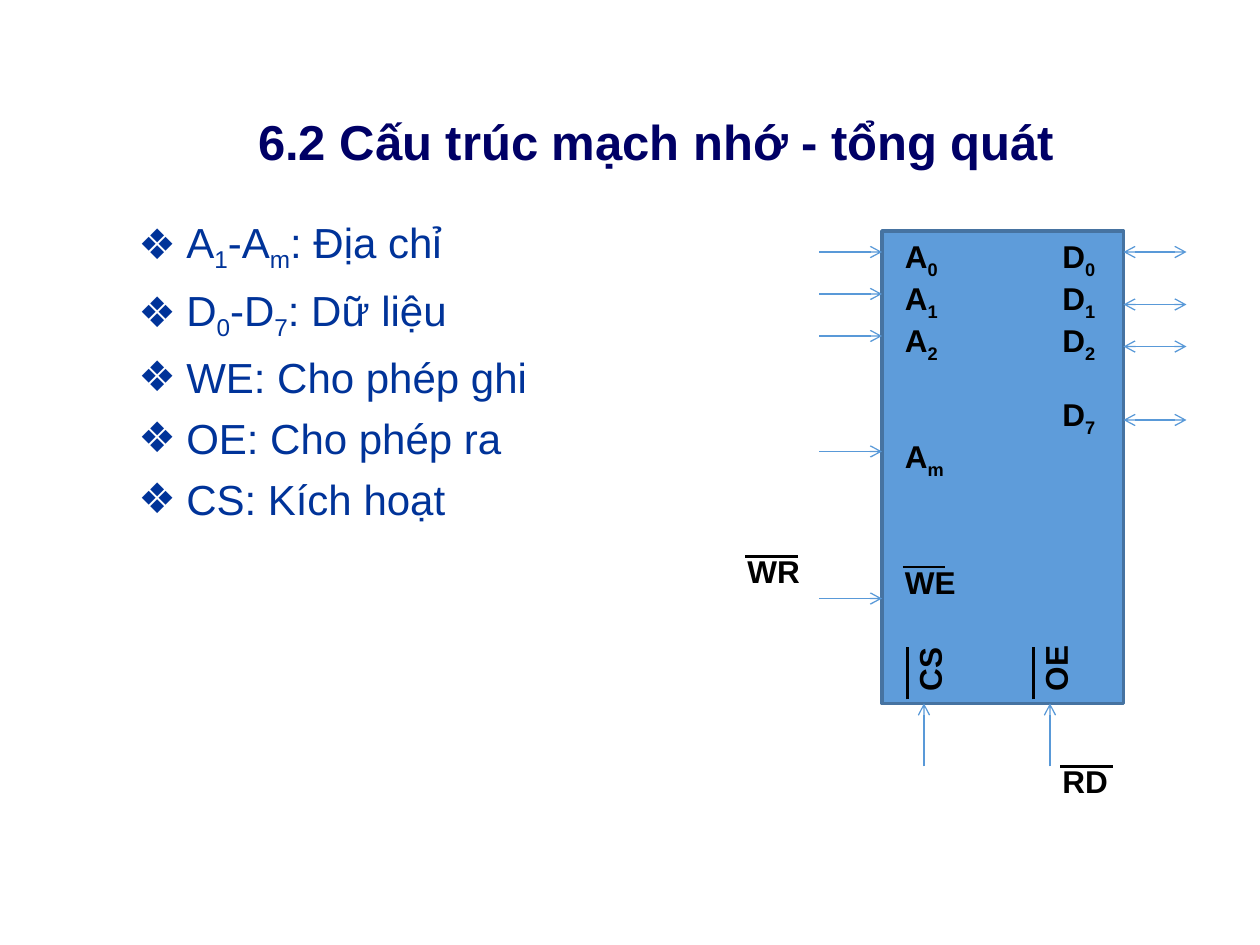
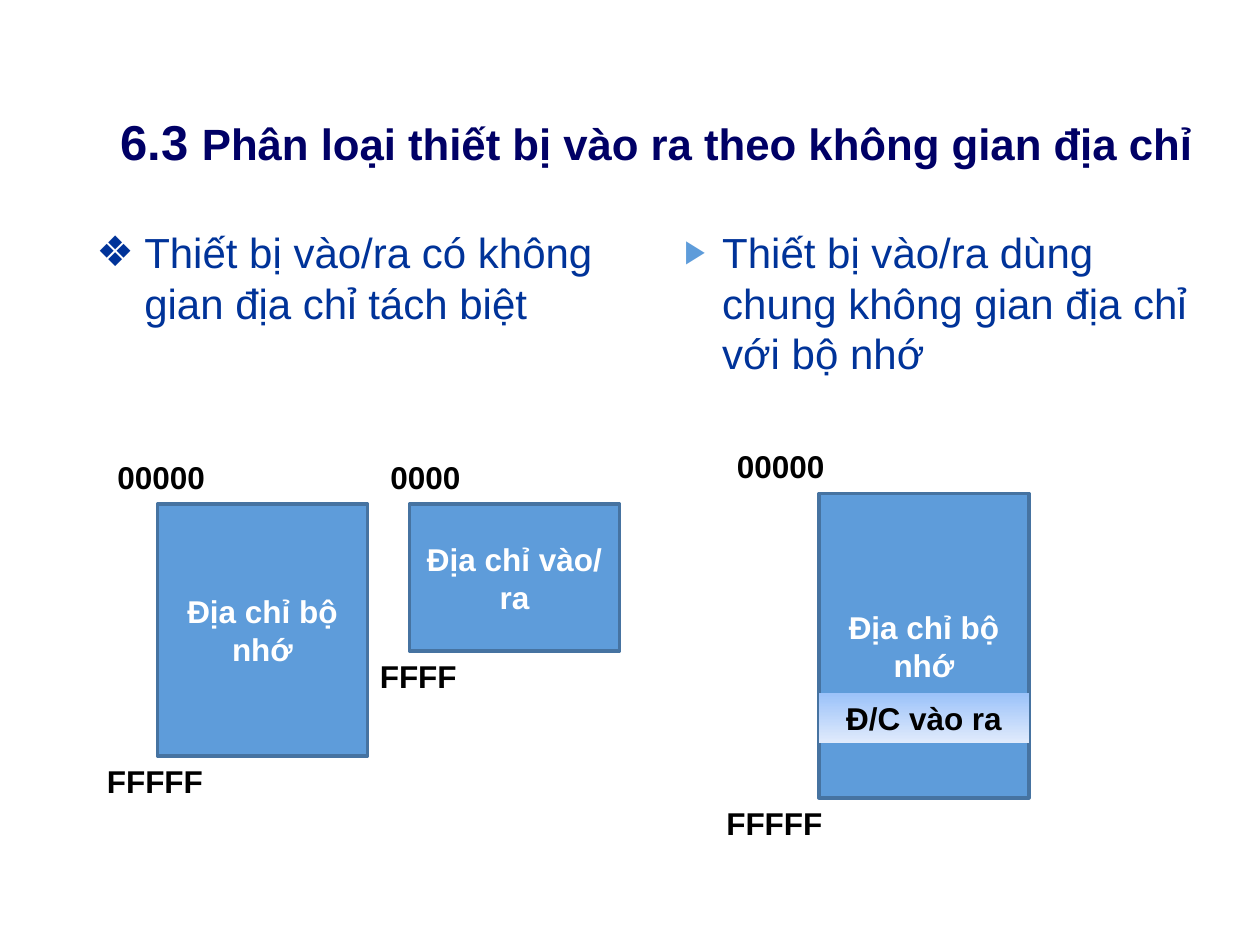
from pptx import Presentation
from pptx.dml.color import RGBColor
from pptx.enum.shapes import MSO_CONNECTOR, MSO_SHAPE
from pptx.enum.text import MSO_ANCHOR, PP_ALIGN
from pptx.oxml.ns import qn
from pptx.util import Inches, Pt
from lxml import etree

NAVY = RGBColor(0x00, 0x00, 0x66)
BLUE = RGBColor(0x00, 0x33, 0x99)
SKY = RGBColor(0x5E, 0x9C, 0xDA)
EDGE = RGBColor(0x46, 0x73, 0xA1)
WIRE = RGBColor(0x59, 0x99, 0xD8)
PALE = RGBColor(0x9B, 0xC2, 0xF9)
MIST = RGBColor(0xE1, 0xEB, 0xFC)
BLACK = RGBColor(0x00, 0x00, 0x00)
WHITE = RGBColor(0xFF, 0xFF, 0xFF)

RECT = MSO_SHAPE.RECTANGLE
LINE = MSO_CONNECTOR.STRAIGHT
LEFT = PP_ALIGN.LEFT
MID = PP_ALIGN.CENTER
CENTRE = MSO_ANCHOR.MIDDLE

WIDE, HIGH = Inches(10), Inches(7.5)
COLS, ROWS = 120, 90
TALL = 4.8


def col(n):
    return round(n * WIDE / COLS)


def row(n):
    return round(n * HIGH / ROWS)


class Deck:
    face = "Arial"

    def __init__(self):
        self.prs = Presentation()
        self.prs.slide_width, self.prs.slide_height = WIDE, HIGH
        self.slide = None

    def page(self, *parts):
        self.slide = self.prs.slides.add_slide(self.prs.slide_layouts[6])
        para = self.text(5, 10, 115, 7, "", 28, NAVY, True, MID)
        for words, size in parts:
            run = para.add_run()
            run.text = words
            run.font.size = Pt(size)

    def style(self, para, size, color, bold, align):
        para.alignment = align
        font = para.font
        font.name, font.size, font.bold = self.face, Pt(size), bold
        font.color.rgb = color

    def runs(self, para, words):
        first, *rest = words.split("_")
        if first:
            para.add_run().text = first
        for part in rest:
            low = para.add_run()
            low.text = part[0]
            low._r.get_or_add_rPr().set("baseline", "-25000")
            if part[1:]:
                para.add_run().text = part[1:]

    def text(self, x, y, w, h, words, size=18, color=BLACK, bold=True, align=LEFT, turn=0):
        box = self.slide.shapes.add_textbox(col(x), row(y), col(w), row(h))
        box.rotation = turn
        box.text_frame.word_wrap = True
        para = box.text_frame.paragraphs[0]
        self.runs(para, words)
        self.style(para, size, color, bold, align)
        return para

    def bullets(self, x, y, w, h, items, mark="❖", tint=BLUE, share=100, dent=0.38):
        box = self.slide.shapes.add_textbox(col(x), row(y), col(w), row(h))
        frame = box.text_frame
        frame.word_wrap = True
        for i, item in enumerate(items):
            para = frame.add_paragraph() if i else frame.paragraphs[0]
            para.space_before = Pt(6)
            props = para._p.get_or_add_pPr()
            props.set("marL", str(Inches(dent)))
            props.set("indent", str(-Inches(dent)))
            shade = etree.SubElement(props, qn("a:buClr"))
            etree.SubElement(shade, qn("a:srgbClr"), val=str(tint))
            etree.SubElement(props, qn("a:buSzPct"), val=str(share * 1000))
            etree.SubElement(props, qn("a:buFont"), typeface=self.face)
            etree.SubElement(props, qn("a:buChar"), char=mark)
            self.runs(para, item)
            self.style(para, 24, BLUE, False, LEFT)

    def block(self, x, y, w, h, words="", color=WHITE, fade=False):
        box = self.slide.shapes.add_shape(RECT, col(x), row(y), col(w), row(h))
        box.shadow.inherit = False
        if fade:
            box.fill.gradient()
            box.fill.gradient_angle = 270
            for stop, tint in zip(box.fill.gradient_stops, (PALE, MIST)):
                stop.color.rgb = tint
            box.line.fill.background()
        else:
            box.fill.solid()
            box.fill.fore_color.rgb = SKY
            box.line.color.rgb = EDGE
            box.line.width = Pt(2)
        if words:
            frame = box.text_frame
            frame.word_wrap = True
            frame.vertical_anchor = CENTRE
            frame.text = words
            self.style(frame.paragraphs[0], 18, color, True, MID)

    def line(self, x, y, to_x, to_y, color=BLACK, width=1.5, ends=()):
        link = self.slide.shapes.add_connector(LINE, col(x), row(y), col(to_x), row(to_y))
        link.line.color.rgb = color
        link.line.width = Pt(width)
        for end in ends:
            etree.SubElement(link.get_or_add_ln(), qn("a:" + end), type="arrow")
        etree.SubElement(link._element.spPr, qn("a:effectLst"))

    def wire(self, x, y, to_x, to_y, both=False):
        ends = ("headEnd", "tailEnd") if both else ("tailEnd",)
        self.line(x, y, to_x, to_y, WIRE, 0.75, ends)

    def barred(self, x, y, words, span, width=1.5):
        self.text(x, y, 9, TALL, words)
        self.line(x + 1, y + 1, x + 1 + span, y + 1, width=width)

    def foot(self, x, words):
        self.wire(x, 73, x, 67)
        self.text(x - 3.5, 60.6, 8, TALL, words, turn=270)
        self.line(x - 1.6, 66.6, x - 1.6, 61.6)


def chip(deck):
    deck.page(("6.2 Cấu trúc mạch nhớ - tổng quát", 28))
    deck.bullets(12, 20, 45, 61.5, (
        "A_1-A_m: Địa chỉ",
        "D_0-D_7: Dữ liệu",
        "WE: Cho phép ghi",
        "OE: Cho phép ra",
        "CS: Kích hoạt",
    ))
    deck.block(84, 22, 23, 45)
    for y, name in ((24, "A_0"), (28, "A_1"), (32, "A_2"), (43, "A_m")):
        deck.wire(78, y, 84, y)
        deck.text(85, y - 2, 7, TALL, name)
    for y, at, name in ((22, 24, "D_0"), (26, 29, "D_1"), (30, 33, "D_2"), (37, 40, "D_7")):
        deck.text(100, y, 6, TALL, name)
        deck.wire(107, at, 113, at, both=True)
    deck.wire(78, 57, 84, 57)
    deck.barred(85, 53, "WE", 4, 1.25)
    deck.barred(70, 52, "WR", 5)
    deck.barred(100, 72, "RD", 5)
    for x, name in ((88, "CS"), (100, "OE")):
        deck.foot(x, name)


def spaces(deck):
    deck.page(("6.3 ", 28), ("Phân loại thiết bị vào ra theo không gian địa chỉ", 25))
    deck.bullets(8, 21, 51, 22, ("Thiết bị vào/ra có không gian địa chỉ tách biệt",))
    deck.bullets(64, 21, 52, 20, ("Thiết bị vào/ra dùng chung không gian địa chỉ với bộ nhớ",),
                 "▶", SKY, 76, 0.3)
    for x, y, h, name in (
        (15, 48, 24, "Địa chỉ bộ nhớ"),
        (78, 47, 29, "Địa chỉ bộ nhớ"),
        (39, 48, 14, "Địa chỉ vào/ ra"),
    ):
        deck.block(x, y, 20, h, name)
    deck.block(78, 66, 20, TALL, "Đ/C vào ra", BLACK, fade=True)
    for x, top, end, low, high in (
        (10, 43, 72, "00000", "FFFFF"),
        (36, 43, 62, "0000", "FFFF"),
        (69, 42, 76, "00000", "FFFFF"),
    ):
        deck.text(x, top, 11, TALL, low)
        deck.text(x - 1, end, 13, TALL, high)


def main():
    deck = Deck()
    chip(deck)
    spaces(deck)
    deck.prs.save("out.pptx")


if __name__ == "__main__":
    main()
